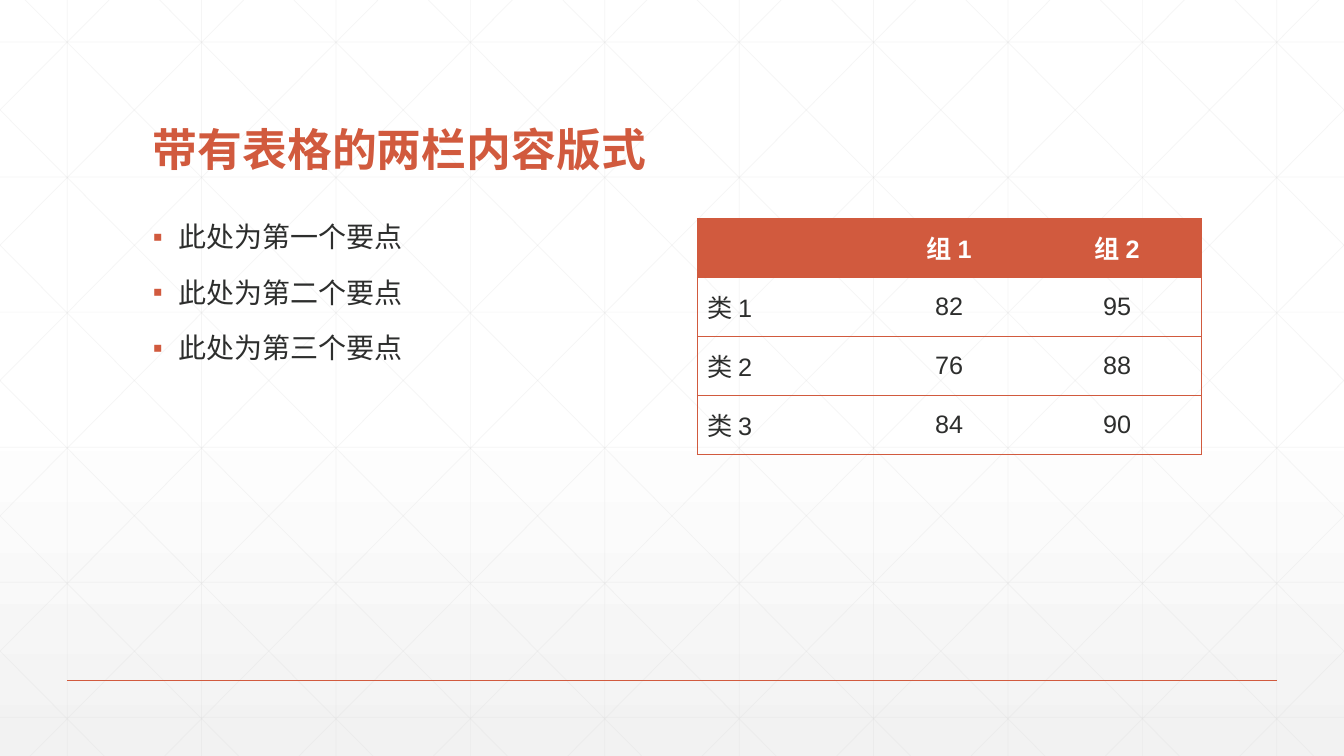
"""Build a two-content slide with a bullet list and a table over a line grid."""
from typing import NamedTuple

from lxml.etree import SubElement as Sub
from pptx import Presentation as Deck
from pptx.dml.color import RGBColor as RGB
from pptx.enum.lang import MSO_LANGUAGE_ID as Lang
from pptx.enum.shapes import MSO_CONNECTOR as Link
from pptx.enum.text import MSO_ANCHOR as Anchor, MSO_AUTO_SIZE as Fit, PP_ALIGN as Align
from pptx.oxml.ns import qn
from pptx.util import Inches, Pt

RED = RGB(0xD1, 0x5A, 0x3E)
INK = RGB(0x2D, 0x2E, 0x2D)
PALE = RGB(0xD9, 0xD9, 0xD9)
WHITE = RGB(0xFF, 0xFF, 0xFF)
FOG = RGB(0xF2, 0xF2, 0xF2)
FONT = "Arial"
COLS, ROWS = 160, 90
UNIT = Inches(1) / 12
STEP, RUN = 16, 89.4
POINTS = ["此处为第一个要点", "此处为第二个要点", "此处为第三个要点"]
DATA = [("", "组 1", "组 2"), ("类 1", "82", "95"), ("类 2", "76", "88"), ("类 3", "84", "90")]


class Line(NamedTuple):
    x1: float
    y1: float
    x2: float
    y2: float
    color: RGB = PALE
    width: float = 0.5
    alpha: int = 25


class Box(NamedTuple):
    left: float
    top: float
    width: float
    height: float

    def size(self) -> list[int]:
        return [grid(side) for side in self]


def grid(count: float) -> int:
    return round(count * UNIT)


def draw(shapes, line: Line) -> None:
    link = shapes.add_connector(Link.STRAIGHT, *map(grid, line[:4]))
    link.line.color.rgb = line.color
    link.line.width = Pt(line.width)
    tint = link._element.xpath(".//a:ln//a:srgbClr")[0]
    Sub(tint, qn("a:alpha"), val=str(line.alpha * 1000))
    Sub(link._element.spPr, qn("a:effectLst"))


def slant(start: float) -> Line:
    top = max(0, -start / RUN * ROWS)
    end = min(ROWS, (COLS - start) / RUN * ROWS)
    return Line(start + top * RUN / ROWS, top, start + end * RUN / ROWS, end)


def mesh() -> list[Line]:
    down = [Line(x, 0, x, ROWS) for x in range(STEP // 2, COLS, STEP)]
    flat = [Line(0, y, COLS, y) for y in (5 + 16.08 * k for k in range(6))]
    fall = [slant(3 + STEP * k) for k in range(-5, 10)]
    rise = [Line(COLS - s.x1, s.y1, COLS - s.x2, s.y2) for s in fall]
    return down + flat + fall + rise


def write(frame, lines: list[str], *, size: float, color: RGB, bold: bool = False,
          align: Align = Align.LEFT, anchor: Anchor = Anchor.TOP,
          space: float | None = None, before: float = 0, mark: str = "") -> None:
    frame.text = "\n".join(lines)
    frame.vertical_anchor = anchor
    for para in frame.paragraphs:
        para.alignment = align
        para.space_before = Pt(before)
        if space:
            para.line_spacing = space
        if mark:
            bullet(para, mark)
        for run in para.runs:
            font = run.font
            font.name, font.size, font.bold = FONT, Pt(size), bold
            font.color.rgb = color
            font.language_id = Lang.SIMPLIFIED_CHINESE


def bullet(para, mark: str) -> None:
    props = para._p.get_or_add_pPr()
    props.set("marL", str(Inches(0.25)))
    props.set("indent", str(-Inches(0.25)))
    Sub(Sub(props, qn("a:buClr")), qn("a:srgbClr"), val=str(RED))
    Sub(props, qn("a:buFont"), typeface=FONT)
    Sub(props, qn("a:buChar"), char=mark)


def place(slide, shape, box: Box):
    shape.left, shape.top, shape.width, shape.height = box.size()
    slide.shapes._spTree.append(shape._element)
    frame = shape.text_frame
    frame.word_wrap, frame.auto_size = True, Fit.NONE
    return frame


def edge(cell, sides: str) -> None:
    props = cell._tc.get_or_add_tcPr()
    for side in "LRTB":
        rim = Sub(props, qn(f"a:ln{side}"), w=str(Pt(0.5)))
        if side in sides:
            Sub(Sub(rim, qn("a:solidFill")), qn("a:srgbClr"), val=str(RED))
        else:
            Sub(rim, qn("a:noFill"))


def chart(slide, box: Box) -> None:
    wide = len(DATA[0])
    table = slide.shapes.add_table(len(DATA), wide, *box.size()).table
    table.horz_banding = False
    for row, texts in enumerate(DATA):
        for col, text in enumerate(texts):
            cell, head = table.cell(row, col), row == 0
            edge(cell, "TB" + "L" * (col == 0) + "R" * (col == wide - 1))
            if head:
                cell.fill.solid()
                cell.fill.fore_color.rgb = RED
            else:
                cell.fill.background()
            write(cell.text_frame, [text], size=18, bold=head,
                  color=WHITE if head else INK,
                  align=Align.CENTER if col else Align.LEFT)
            cell.vertical_anchor = Anchor.MIDDLE


def shade(slide) -> None:
    fill = slide.background.fill
    fill.gradient()
    fill.gradient_angle = 270
    for stop, color, spot in zip(fill.gradient_stops, (WHITE, FOG), (0.53, 1)):
        stop.color.rgb, stop.position = color, spot


def main() -> None:
    deck = Deck()
    deck.slide_width, deck.slide_height = grid(COLS), grid(ROWS)
    slide = deck.slides.add_slide(deck.slide_layouts[1])
    shade(slide)
    for line in mesh():
        draw(slide.shapes, line)
    draw(slide.shapes, Line(8, 81, COLS - 8, 81, RED, 1, 100))
    title, body = slide.placeholders
    write(place(slide, title, Box(17, 6.6, 126, 15)), ["带有表格的两栏内容版式"],
          size=32, color=RED, bold=True, anchor=Anchor.BOTTOM, space=0.9)
    write(place(slide, body, Box(17, 26, 60, 50)), POINTS,
          size=20, color=INK, space=0.9, before=18, mark="▪")
    chart(slide, Box(83, 26, 60, 28.1))
    deck.save("out.pptx")


main()
